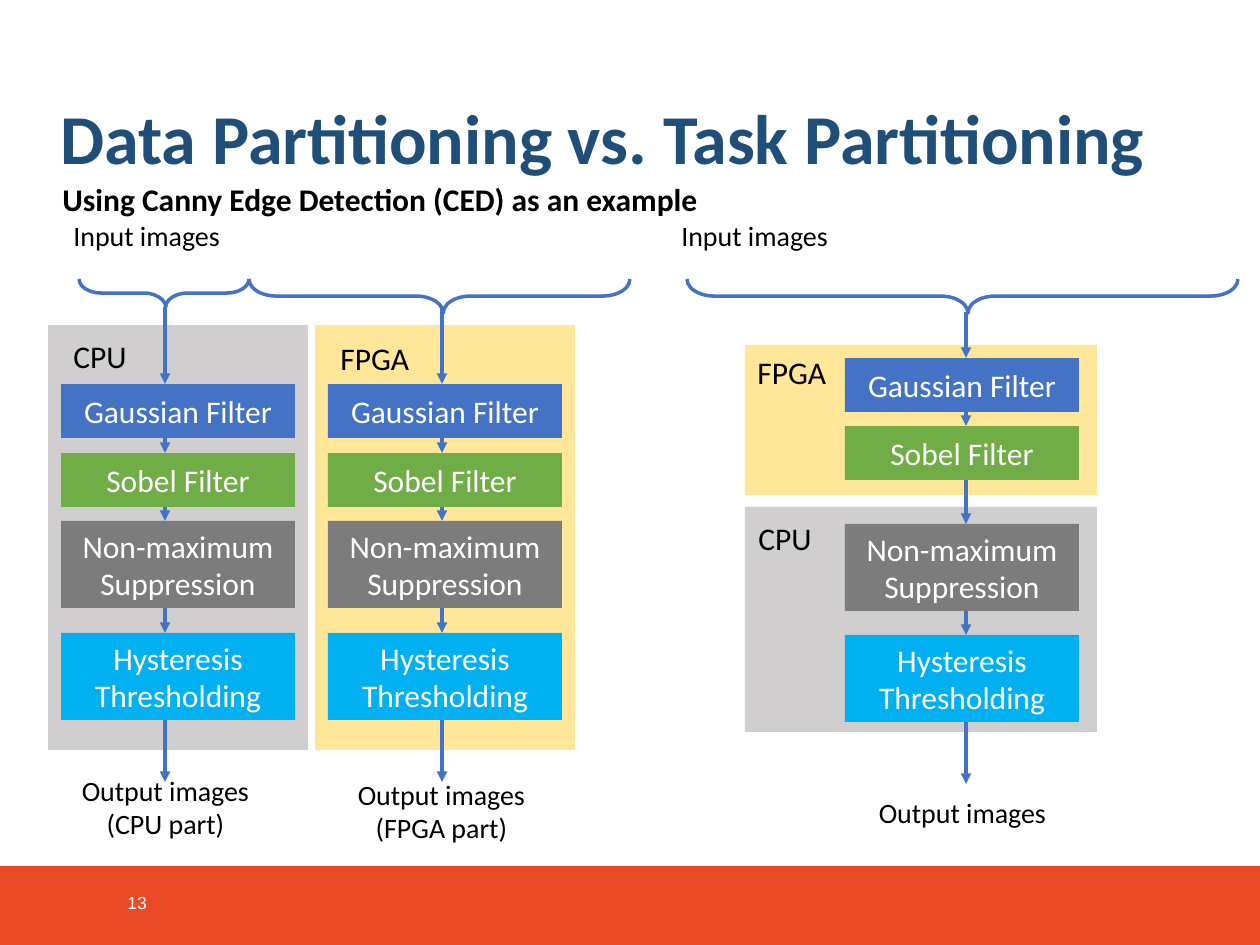
from dataclasses import dataclass

from lxml import etree
from pptx import Presentation
from pptx.dml.color import RGBColor
from pptx.enum.shapes import MSO_CONNECTOR, MSO_SHAPE
from pptx.enum.text import MSO_ANCHOR, PP_ALIGN
from pptx.oxml.ns import qn
from pptx.util import Pt

RECT, BRACE = MSO_SHAPE.RECTANGLE, MSO_SHAPE.LEFT_BRACE
STRAIGHT = MSO_CONNECTOR.STRAIGHT
TOP, MIDDLE = MSO_ANCHOR.TOP, MSO_ANCHOR.MIDDLE
LEFT, CENTER = PP_ALIGN.LEFT, PP_ALIGN.CENTER
SCALE = 914400 / 126  # EMU per px


@dataclass(frozen=True)
class Theme:
    font: str = "Calibri"
    number_font: str = "Arial"
    title: str = "1F4E79"
    text: str = "000000"
    light: str = "FFFFFF"
    footer: str = "E84A26"
    cpu: str = "D0CECE"
    fpga: str = "FFE699"
    line: str = "4472C4"
    title_size: int = 40
    body_size: int = 18
    caption_size: int = 16
    number_size: int = 10
    line_width: int = 2


THEME = Theme()

# Stage name, fill and height, in pipeline order
STAGES = [
    ("Gaussian Filter", "4472C4", 54),
    ("Sobel Filter", "70AD47", 54),
    ("Non-maximum Suppression", "7C7C7C", 87),
    ("Hysteresis Thresholding", "00B0F0", 87),
]
STAGE_WIDTH = 234
OUTPUT_ARROW = 62


def emu(*px):
    return [round(v * SCALE) for v in px]


def rgb(value):
    return RGBColor.from_string(value)


def write(s, text, size=THEME.body_size, color=THEME.text, bold=False,
          font=THEME.font, align=LEFT, anchor=TOP, spacing=None):
    tf = s.text_frame
    tf.word_wrap = True
    tf.vertical_anchor = anchor
    p = tf.paragraphs[0]
    p.alignment = align
    if spacing:
        p.line_spacing = spacing
    r = p.add_run()
    r.text = text
    r.font.name, r.font.size, r.font.bold = font, Pt(size), bold
    r.font.color.rgb = rgb(color)


class Deck:
    def __init__(self, slide, theme):
        self.sp = slide.shapes
        self.theme = theme

    def box(self, x, y, w, h, fill, text=None):
        s = self.sp.add_shape(RECT, *emu(x, y, w, h))
        s.shadow.inherit = False
        s.fill.solid()
        s.fill.fore_color.rgb = rgb(fill)
        s.line.fill.background()
        if text:
            write(s, text, color=self.theme.light, align=CENTER, anchor=MIDDLE)

    def label(self, x, y, w, h, text, **style):
        write(self.sp.add_textbox(*emu(x, y, w, h)), text, **style)

    def stroke(self, s):
        s.line.color.rgb = rgb(self.theme.line)
        s.line.width = Pt(self.theme.line_width)

    def brace(self, x, y, w, h):
        """Brace covering x, y, w, h with its point facing down."""
        s = self.sp.add_shape(
            BRACE, *emu(x + (w - h) / 2, y + (h - w) / 2, h, w))
        s.rotation = 270
        s.adjustments[0], s.adjustments[1] = 0.8, 0.51
        s.shadow.inherit = False
        s.fill.background()
        self.stroke(s)

    def arrow(self, x, y1, y2):
        s = self.sp.add_connector(STRAIGHT, *emu(x, y1, x, y2))
        self.stroke(s)
        etree.SubElement(s.line._get_or_add_ln(), qn("a:tailEnd"), type="triangle")
        etree.SubElement(s._element.spPr, qn("a:effectLst"))

    def pipeline(self, x, tops, arrow_x, start):
        """Stack the stages and link them from the brace to the output."""
        for (name, fill, h), y in zip(STAGES, tops):
            self.box(x, y, STAGE_WIDTH, h, fill, name)
        bottoms = [y + h for (_, _, h), y in zip(STAGES, tops)]
        ends = tops + [bottoms[-1] + OUTPUT_ARROW]
        for y1, y2 in zip([start] + bottoms, ends):
            self.arrow(arrow_x, y1, y2)


def main():
    prs = Presentation()
    prs.slide_width, prs.slide_height = emu(1260, 945)
    t = THEME
    deck = Deck(prs.slides.add_slide(prs.slide_layouts[6]), t)

    # Footer
    deck.box(0, 866, 1260, 79, t.footer)
    deck.label(115, 878, 66, 50, "13", size=t.number_size, color=t.light,
               font=t.number_font, anchor=MIDDLE)

    # Device panels
    deck.box(745, 507, 352, 225, t.cpu)
    deck.box(745, 345, 352, 150, t.fpga)
    deck.box(315, 325, 260, 425, t.fpga)
    deck.box(48, 325, 260, 425, t.cpu)

    # Headings
    deck.label(48, 50, 1158, 183, "Data Partitioning vs. Task Partitioning",
               size=t.title_size, color=t.title, bold=True, anchor=MIDDLE,
               spacing=0.9)
    deck.label(50, 174, 843, 50,
               "Using Canny Edge Detection (CED) as an example", bold=True)

    # Braces over the input images
    for x, w, h in [(79, 170, 28), (249, 381, 34), (687, 551, 34)]:
        deck.brace(x, 279, w, h)

    # Pipelines: two data partitions, then the task partition
    data_tops = [384, 453, 521, 633]
    deck.pipeline(61, data_tops, 165, 307)
    deck.pipeline(328, data_tops, 442, 307)
    deck.pipeline(845, [358, 426, 524, 635], 966, 312)

    # Device names
    for x, y, name in [(61, 331, "CPU"), (328, 333, "FPGA"),
                       (745, 347, "FPGA"), (746, 513, "CPU")]:
        deck.label(x, y, 165, 50, name)

    # Input and output captions
    for x in (61, 669):
        deck.label(x, 212, 213, 47, "Input images", size=t.caption_size)
    for x, y, h, text in [(59, 767, 81, "Output images (CPU part)"),
                          (335, 771, 81, "Output images (FPGA part)"),
                          (856, 789, 47, "Output images")]:
        deck.label(x, y, 213, h, text, size=t.caption_size, align=CENTER)

    prs.save("out.pptx")


if __name__ == "__main__":
    main()
